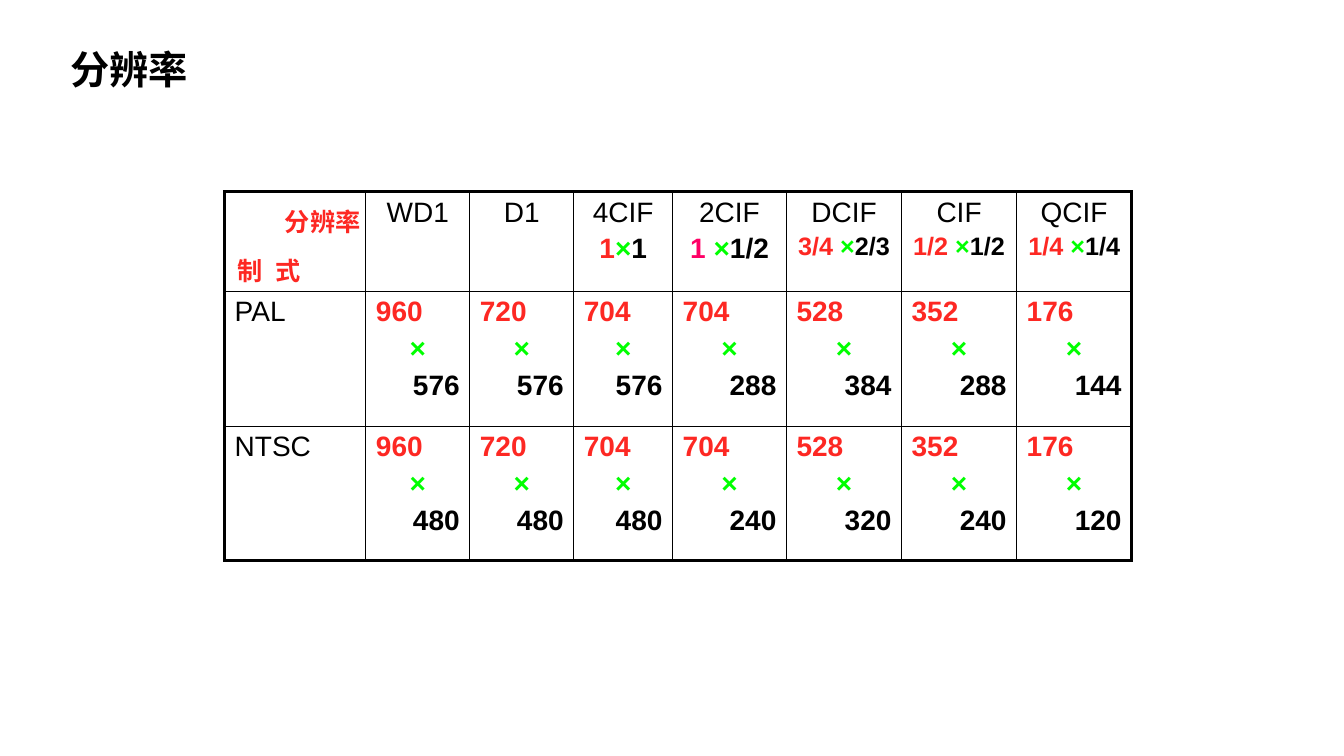
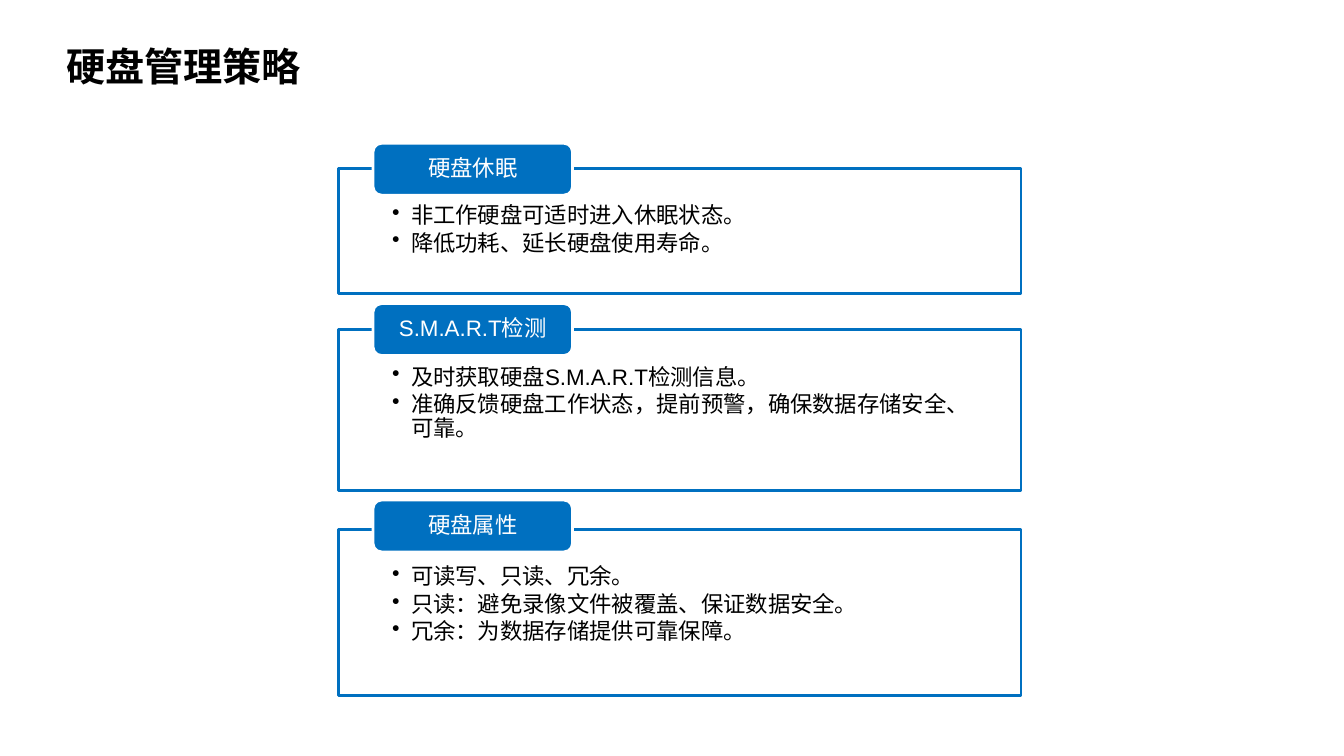
"""Builds two slides on video resolution and hard disk management."""
from lxml import etree
from pptx import Presentation
from pptx.dml.color import RGBColor
from pptx.enum.shapes import MSO_SHAPE
from pptx.enum.text import MSO_ANCHOR, PP_ALIGN
from pptx.oxml.ns import qn
from pptx.util import Cm, Pt

RECT, ROUND = MSO_SHAPE.RECTANGLE, MSO_SHAPE.ROUNDED_RECTANGLE
LEFT, MID, RIGHT = PP_ALIGN.LEFT, PP_ALIGN.CENTER, PP_ALIGN.RIGHT
TOP, CENTER = MSO_ANCHOR.TOP, MSO_ANCHOR.MIDDLE
FONT = "Arial"
COLORS = {"ink": "000000", "paper": "FFFFFF", "red": "FD2823",
          "pink": "FF0066", "green": "00FF00", "blue": "0070C0"}

COLS = [3.56, 2.62, 2.62, 2.49, 2.87, 2.9, 2.9, 2.9]
ROWS = [2.51, 3.4, 3.38]
HEADS = [("WD1", None), ("D1", None),
         ("4CIF", ("1", "1", "red", 20)),
         ("2CIF", ("1 ", "1/2", "pink", 20)),
         ("DCIF", ("3/4 ", "2/3", "red", 18)),
         ("CIF", ("1/2 ", "1/2", "red", 18)),
         ("QCIF", ("1/4 ", "1/4", "red", 18))]
WIDTHS = ["960", "720", "704", "704", "528", "352", "176"]
MODES = [("PAL", ["576", "576", "576", "288", "384", "288", "144"]),
         ("NTSC", ["480", "480", "480", "240", "320", "240", "120"])]

PANELS = [
    (4.24, 3.15, 3.61, "硬盘休眠",
     ["非工作硬盘可适时进入休眠状态。", "降低功耗、延长硬盘使用寿命。"]),
    (8.31, 4.06, 7.65, "S.M.A.R.T检测",
     ["及时获取硬盘S.M.A.R.T检测信息。",
      "准确反馈硬盘工作状态，提前预警，确保数据存储安全、可靠。"]),
    (13.34, 4.19, 12.6, "硬盘属性",
     ["可读写、只读、冗余。", "只读：避免录像文件被覆盖、保证数据安全。",
      "冗余：为数据存储提供可靠保障。"]),
]


def rgb(name):
    return RGBColor.from_string(COLORS[name])


def style(para, size, color=None, bold=False, align=LEFT):
    para.alignment = align
    font = para.font
    font.name, font.size, font.bold = FONT, Pt(size), bold
    if color:
        font.color.rgb = rgb(color)


def next_para(frame, first):
    return frame.paragraphs[0] if first else frame.add_paragraph()


def add_text(slide, box, text, size, anchor=TOP, gap=0):
    frame = slide.shapes.add_textbox(*map(Cm, box)).text_frame
    frame.word_wrap, frame.vertical_anchor = True, anchor
    para = frame.paragraphs[0]
    run = para.add_run()
    run.text = text
    if gap:
        run.font._element.set("spc", str(gap))
    return para


def add_title(slide, left, top, text):
    para = add_text(slide, (left, top, 25.32, 1.4), text, 28, CENTER)
    style(para, 28, "ink", True)


def add_label(slide, left, top, text, gap=0):
    para = add_text(slide, (left, top, 2.74, 1.02), text, 18, gap=gap)
    style(para, 18, "red", True)


def set_edges(cell, row, col):
    cell.fill.background()
    outer = {"L": col == 0, "R": col == len(COLS) - 1,
             "T": row == 0, "B": row == len(ROWS) - 1}
    props = cell._tc.get_or_add_tcPr()
    for spot, (side, thick) in enumerate(outer.items()):
        line = etree.Element(qn("a:ln" + side), w=str(Pt(2.25 if thick else 1)))
        fill = etree.SubElement(line, qn("a:solidFill"))
        etree.SubElement(fill, qn("a:srgbClr"), val=COLORS["ink"])
        props.insert(spot, line)


def fill_head(cell, name, ratio):
    frame = cell.text_frame
    para = frame.paragraphs[0]
    para.text = name
    style(para, 20, "ink", align=MID)
    if ratio:
        wide, high, color, size = ratio
        para = frame.add_paragraph()
        para.space_before = Pt(size * 0.2)
        style(para, size, bold=True, align=MID)
        for text, shade in ((wide, color), ("×", "green"), (high, "ink")):
            run = para.add_run()
            run.text = text
            run.font.color.rgb = rgb(shade)


def fill_size(cell, wide, high):
    parts = [(wide, "red", LEFT), ("×", "green", MID), (high, "ink", RIGHT)]
    for i, (text, color, align) in enumerate(parts):
        para = next_para(cell.text_frame, i == 0)
        para.text = text
        para.space_before = Pt(4 if i else 0)
        style(para, 20, color, True, align)


def add_grid(slide):
    frame = slide.shapes.add_table(len(ROWS), len(COLS), Cm(5.66), Cm(4.83),
                                   Cm(sum(COLS)), Cm(sum(ROWS)))
    table = frame.table
    table.first_row = table.horz_banding = False
    for col, width in zip(table.columns, COLS):
        col.width = Cm(width)
    for row, height in zip(table.rows, ROWS):
        row.height = Cm(height)
    for col, (name, ratio) in enumerate(HEADS, 1):
        fill_head(table.cell(0, col), name, ratio)
    for row, (mode, highs) in enumerate(MODES, 1):
        para = table.cell(row, 0).text_frame.paragraphs[0]
        para.text = mode
        style(para, 20, "ink")
        for col, (wide, high) in enumerate(zip(WIDTHS, highs), 1):
            fill_size(table.cell(row, col), wide, high)
    for row in range(len(ROWS)):
        for col in range(len(COLS)):
            set_edges(table.cell(row, col), row, col)


def add_box(slide, kind, box, fill, line, pads, anchor):
    shape = slide.shapes.add_shape(kind, *map(Cm, box))
    shape.shadow.inherit = False
    shape.fill.solid()
    shape.fill.fore_color.rgb = rgb(fill)
    shape.line.color.rgb = rgb(line)
    shape.line.width = Pt(2)
    frame = shape.text_frame
    frame.word_wrap, frame.vertical_anchor = True, anchor
    frame.margin_left = frame.margin_right = Cm(pads[0])
    frame.margin_top, frame.margin_bottom = Cm(pads[1]), Cm(pads[2])
    return shape


def add_panel(slide, top, height, tag_top, name, points):
    panel = add_box(slide, RECT, (8.53, top, 17.2, height), "paper", "blue",
                    (1.35, 0.91, 0.3), TOP)
    shade = panel.fill._xPr.find(".//" + qn("a:srgbClr"))
    etree.SubElement(shade, qn("a:alpha"), val="90000")
    for i, point in enumerate(points):
        para = next_para(panel.text_frame, i == 0)
        para.text = point
        props = para._p.get_or_add_pPr()
        props.set("marL", str(Cm(0.48)))
        props.set("indent", str(-Cm(0.48)))
        etree.SubElement(props, qn("a:buChar"), char="•")
        para.line_spacing, para.space_after = 0.9, Pt(2.4)
        style(para, 16, "ink")
    tag = add_box(slide, ROUND, (9.4, tag_top, 5.03, 1.31), "blue", "paper",
                  (0.5, 0, 0), CENTER)
    para = tag.text_frame.paragraphs[0]
    para.text = name
    para.line_spacing, para.space_after = 0.9, Pt(5.6)
    style(para, 16, "paper", align=MID)


def main():
    deck = Presentation()
    deck.slide_width, deck.slide_height = Cm(33.87), Cm(19.05)
    blank = deck.slide_layouts[6]

    slide = deck.slides.add_slide(blank)
    add_title(slide, 1.52, 1.04, "分辨率")
    add_grid(slide)
    add_label(slide, 6.93, 5.08, "分辨率")
    add_label(slide, 5.74, 6.3, "制 式", 250)

    slide = deck.slides.add_slide(blank)
    add_title(slide, 1.42, 0.97, "硬盘管理策略")
    for panel in PANELS:
        add_panel(slide, *panel)

    deck.save("out.pptx")


if __name__ == "__main__":
    main()
